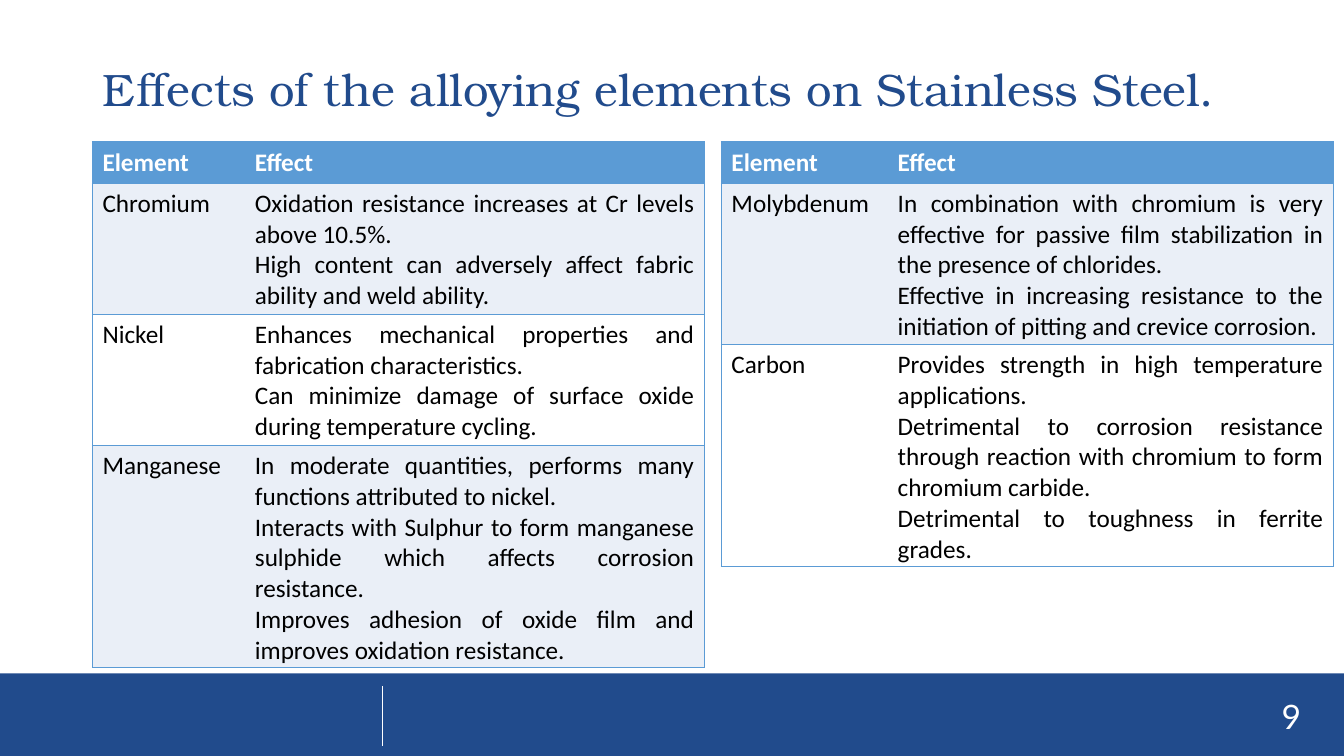
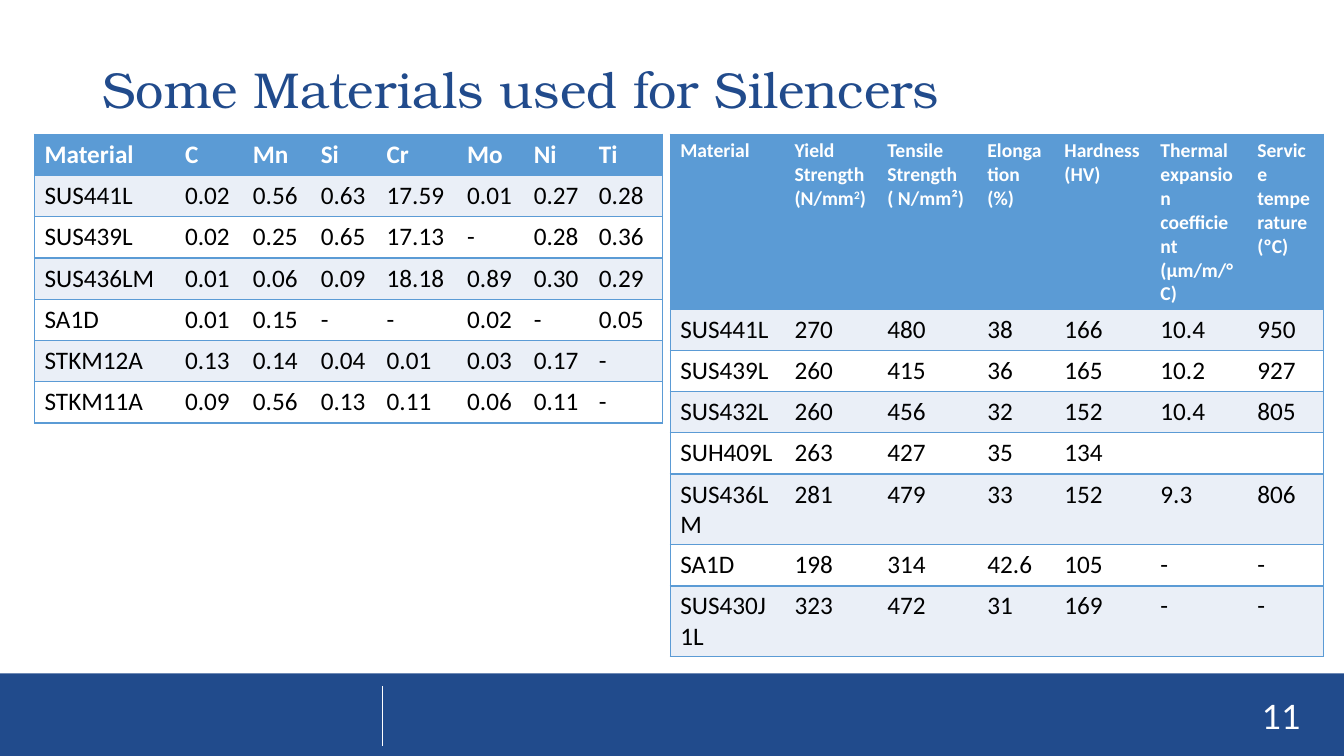
"""Build two slides on stainless steel alloying elements and silencer materials."""
import lxml.etree
import pptx
import pptx.dml.color
import pptx.enum.shapes
import pptx.enum.text
import pptx.oxml.ns
import pptx.util

NAVY = pptx.dml.color.RGBColor(0x21, 0x4B, 0x8C)
BLUE = pptx.dml.color.RGBColor(0x5B, 0x9B, 0xD5)
PALE = pptx.dml.color.RGBColor(0xEA, 0xEF, 0xF7)
WHITE = pptx.dml.color.RGBColor(0xFF, 0xFF, 0xFF)
BLACK = pptx.dml.color.RGBColor(0, 0, 0)

TITLE_FONT = "TeX Gyre Bonum"
TABLE_FONT = "Calibri"
NUMBER_FONT = "Lato"

SLIDE_WIDTH = pptx.util.Cm(33.87)
SLIDE_HEIGHT = pptx.util.Cm(19.05)
BAND_TOP = pptx.util.Cm(16.97)
ROW_HEIGHT = pptx.util.Cm(1.04)
TITLE_ONLY = 5

EFFECT_HEADER = ("Element", "Effect")
COMMON_EFFECTS = [
    EFFECT_HEADER,
    ("Chromium",
     "Oxidation resistance increases at Cr levels above 10.5%.\n"
     "High content can adversely affect fabric ability and weld ability."),
    ("Nickel",
     "Enhances mechanical properties and fabrication characteristics.\n"
     "Can minimize damage of surface oxide during temperature cycling."),
    ("Manganese",
     "In moderate quantities, performs many functions attributed to nickel.\n"
     "Interacts with Sulphur to form manganese sulphide which affects corrosion resistance.\n"
     "Improves adhesion of oxide film and improves oxidation resistance."),
]
FURTHER_EFFECTS = [
    EFFECT_HEADER,
    ("Molybdenum",
     "In combination with chromium is very effective for passive film stabilization "
     "in the presence of chlorides.\n"
     "Effective in increasing resistance to the initiation of pitting and crevice corrosion."),
    ("Carbon",
     "Provides strength in high temperature applications.\n"
     "Detrimental to corrosion resistance through reaction with chromium to form "
     "chromium carbide.\n"
     "Detrimental to toughness in ferrite grades."),
]
COMPOSITION = [
    ("Material", "C", "Mn", "Si", "Cr", "Mo", "Ni", "Ti"),
    ("SUS441L", "0.02", "0.56", "0.63", "17.59", "0.01", "0.27", "0.28"),
    ("SUS439L", "0.02", "0.25", "0.65", "17.13", "-", "0.28", "0.36"),
    ("SUS436LM", "0.01", "0.06", "0.09", "18.18", "0.89", "0.30", "0.29"),
    ("SA1D", "0.01", "0.15", "-", "-", "0.02", "-", "0.05"),
    ("STKM12A", "0.13", "0.14", "0.04", "0.01", "0.03", "0.17", "-"),
    ("STKM11A", "0.09", "0.56", "0.13", "0.11", "0.06", "0.11", "-"),
]
PROPERTIES = [
    ("Material", "Yield Strength (N/mm^2^)", "Tensile Strength ( N/mm²)", "Elongation (%)",
     "Hardness (HV)", "Thermal expansion coefficient (µm/m/°C)", "Service temperature (ºC)"),
    ("SUS441L", "270", "480", "38", "166", "10.4", "950"),
    ("SUS439L", "260", "415", "36", "165", "10.2", "927"),
    ("SUS432L", "260", "456", "32", "152", "10.4", "805"),
    ("SUH409L", "263", "427", "35", "134", "", ""),
    ("SUS436LM", "281", "479", "33", "152", "9.3", "806"),
    ("SA1D", "198", "314", "42.6", "105", "-", "-"),
    ("SUS430J1L", "323", "472", "31", "169", "-", "-"),
]


def format_runs(paragraph, font_name, size, color, bold=False):
    """Give every run of a paragraph the same font."""
    for run in paragraph.runs:
        run.font.name = font_name
        run.font.size = pptx.util.Pt(size)
        run.font.color.rgb = color
        run.font.bold = bold


def add_title(slide, text, size):
    """Place and style the title placeholder."""
    title = slide.shapes.title
    title.left, title.top = pptx.util.Cm(2.33), pptx.util.Cm(1.01)
    title.width, title.height = pptx.util.Cm(29.21), pptx.util.Cm(2.62)
    frame = title.text_frame
    frame.text = text
    frame.auto_size = pptx.enum.text.MSO_AUTO_SIZE.NONE
    frame.vertical_anchor = pptx.enum.text.MSO_ANCHOR.MIDDLE
    heading = frame.paragraphs[0]
    heading.alignment = pptx.enum.text.PP_ALIGN.LEFT
    heading.line_spacing = 0.9
    format_runs(heading, TITLE_FONT, size, NAVY)


def add_footer(slide, number):
    """Draw the bottom band with its divider and the slide number."""
    band = slide.shapes.add_shape(
        pptx.enum.shapes.MSO_SHAPE.RECTANGLE, 0, BAND_TOP, SLIDE_WIDTH, SLIDE_HEIGHT - BAND_TOP)
    band.shadow.inherit = False
    band.fill.solid()
    band.fill.fore_color.rgb = NAVY
    band.line.fill.background()

    divider_x = pptx.util.Cm(9.64)
    divider = slide.shapes.add_connector(
        pptx.enum.shapes.MSO_CONNECTOR.STRAIGHT,
        divider_x, pptx.util.Cm(17.29), divider_x, pptx.util.Cm(18.81))
    divider.line.color.rgb = WHITE
    divider.line.width = pptx.util.Pt(0.5)
    lxml.etree.SubElement(divider.element.spPr, pptx.oxml.ns.qn("a:effectLst"))

    page = slide.shapes.add_textbox(
        pptx.util.Cm(28.8), pptx.util.Cm(17.53), pptx.util.Cm(4.24), pptx.util.Cm(1.02))
    frame = page.text_frame
    frame.word_wrap = True
    frame.vertical_anchor = pptx.enum.text.MSO_ANCHOR.MIDDLE
    frame.text = str(number)
    frame.paragraphs[0].alignment = pptx.enum.text.PP_ALIGN.RIGHT
    format_runs(frame.paragraphs[0], NUMBER_FONT, 24, WHITE)


def set_borders(cell, is_first, is_last):
    """Rule a cell above and below, and at the outer sides of the table."""
    properties = cell._tc.get_or_add_tcPr()
    sides = (("a:lnL", is_first), ("a:lnR", is_last), ("a:lnT", True), ("a:lnB", True))
    for position, (tag, visible) in enumerate(sides):
        border = lxml.etree.Element(pptx.oxml.ns.qn(tag), w=str(pptx.util.Pt(1)))
        if visible:
            fill = lxml.etree.SubElement(border, pptx.oxml.ns.qn("a:solidFill"))
            lxml.etree.SubElement(fill, pptx.oxml.ns.qn("a:srgbClr"), val=str(BLUE))
        else:
            lxml.etree.SubElement(border, pptx.oxml.ns.qn("a:noFill"))
        properties.insert(position, border)


def write_cell(cell, text, size, color, bold, alignment):
    """Write the text of a cell, raising what stands between carets."""
    cell.text_frame.text = text.split("^")[0]
    for position, part in enumerate(text.split("^")[1:]):
        run = cell.text_frame.paragraphs[0].add_run()
        run.text = part
        if position % 2 == 0:
            run._r.get_or_add_rPr().set("baseline", "30000")
    for paragraph in cell.text_frame.paragraphs:
        paragraph.alignment = alignment
        format_runs(paragraph, TABLE_FONT, size, color, bold)


def add_banded_table(slide, left, top, widths, rows, header_size=18):
    """Add a table with a blue header and alternating pale and white rows."""
    table = slide.shapes.add_table(
        len(rows), len(widths), pptx.util.Cm(left), pptx.util.Cm(top),
        pptx.util.Cm(sum(widths)), ROW_HEIGHT * len(rows)).table
    for column, width in zip(table.columns, widths):
        column.width = pptx.util.Cm(width)
    for r, row in enumerate(rows):
        is_header = r == 0
        background = BLUE if is_header else (PALE if r % 2 else WHITE)
        for c, text in enumerate(row):
            cell = table.cell(r, c)
            cell.fill.solid()
            cell.fill.fore_color.rgb = background
            set_borders(cell, c == 0, c == len(row) - 1)
            justified = c > 0 and not is_header
            write_cell(
                cell, text,
                header_size if is_header else 18,
                WHITE if is_header else BLACK,
                is_header,
                pptx.enum.text.PP_ALIGN.JUSTIFY if justified else pptx.enum.text.PP_ALIGN.LEFT)


def add_content_slide(deck, title, title_size, number):
    """Add a slide with the shared title and footer."""
    slide = deck.slides.add_slide(deck.slide_layouts[TITLE_ONLY])
    add_title(slide, title, title_size)
    add_footer(slide, number)
    return slide


def main():
    """Build and save the presentation."""
    deck = pptx.Presentation()
    deck.slide_width, deck.slide_height = SLIDE_WIDTH, SLIDE_HEIGHT

    effects = add_content_slide(
        deck, "Effects of the alloying elements on Stainless Steel.", 32.4, 9)
    add_banded_table(effects, 2.33, 3.58, (3.84, 11.58), COMMON_EFFECTS)
    add_banded_table(effects, 18.18, 3.58, (4.19, 11.23), FURTHER_EFFECTS)

    materials = add_content_slide(deck, "Some Materials used for Silencers", 36, 11)
    add_banded_table(
        materials, 0.87, 3.38, (3.54, 1.71, 1.71, 1.66, 2.03, 1.68, 1.64, 1.85), COMPOSITION)
    add_banded_table(
        materials, 16.89, 3.38, (2.88, 2.34, 2.52, 1.94, 2.42, 2.44, 1.93), PROPERTIES,
        header_size=14)

    deck.save("out.pptx")


if __name__ == "__main__":
    main()
